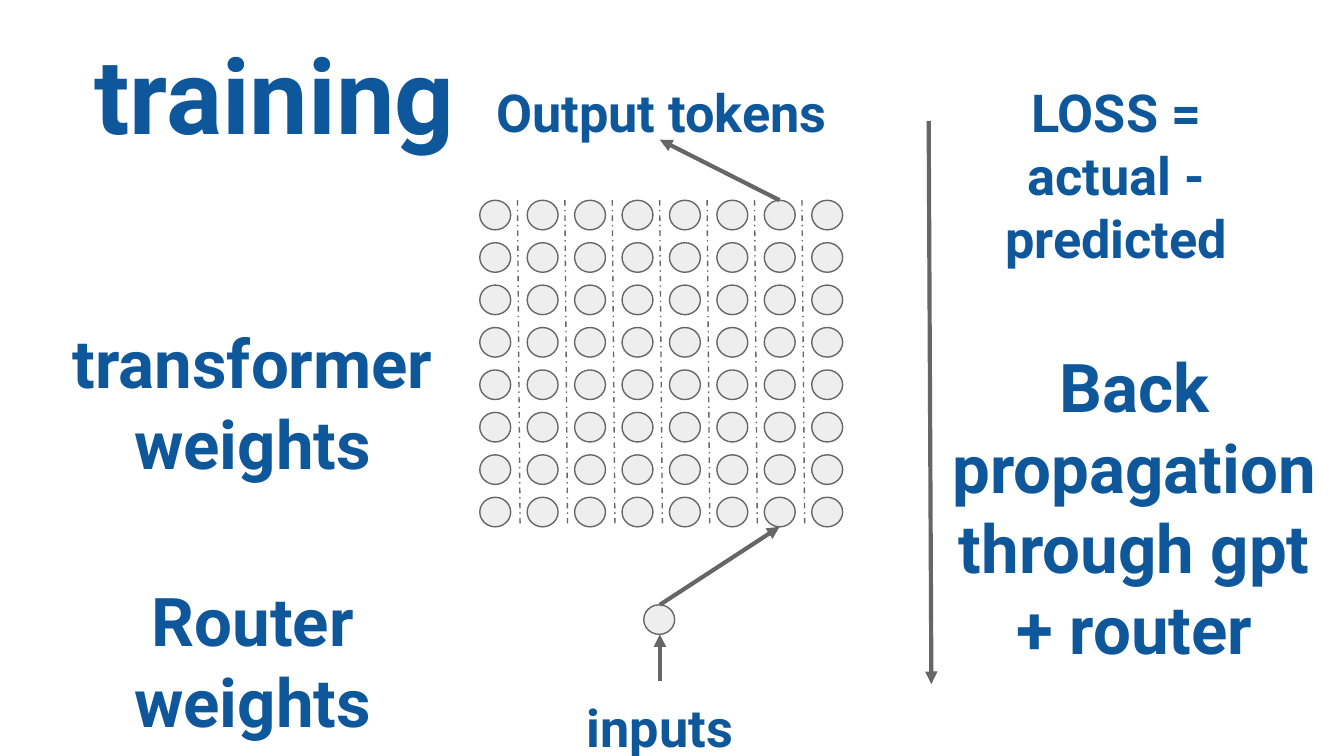
from pptx import Presentation
from pptx.util import Inches, Pt
from pptx.dml.color import RGBColor as RGB
from pptx.enum.shapes import MSO_SHAPE as Shape, MSO_CONNECTOR as Conn
from pptx.enum.text import PP_ALIGN as Align, MSO_ANCHOR as Anchor
from pptx.enum.dml import MSO_LINE as Dash
from pptx.oxml.ns import qn
from lxml.etree import SubElement as Sub

HUES = {"text": "0F579B", "node": "EEEEEE", "line": "666666"}

deck = Presentation()
deck.slide_width = Inches(10)
deck.slide_height = Inches(10 * 9 / 16)
slide = deck.slides.add_slide(deck.slide_layouts[5])
shapes = slide.shapes


def write(text, at, size=36, align=Align.CENTER, after=8, box=None):
    if box is None:
        box = shapes.add_textbox(0, 0, 0, 0)
    box.left, box.top, box.width, box.height = [Inches(n) for n in at]
    frame = box.text_frame
    frame.word_wrap = True
    frame.vertical_anchor = Anchor.TOP
    frame.margin_left = frame.margin_right = Inches(0.1)
    frame.margin_top = frame.margin_bottom = Inches(0.1)
    para = frame.paragraphs[0]
    para.alignment = align
    para.space_before, para.space_after = Pt(0), Pt(after)
    run = para.add_run()
    run.text = text
    run.font.name = "Roboto"
    run.font.size = Pt(size)
    run.font.bold = True
    run.font.color.rgb = RGB.from_string(HUES["text"])


def link(start, end, width=2.25, dash=None):
    line = shapes.add_connector(Conn.STRAIGHT, *[Inches(n) for n in start + end])
    line.line.color.rgb = RGB.from_string(HUES["line"])
    line.line.width = Pt(width)
    if dash:
        line.line.dash_style = dash
    else:
        Sub(line.line._get_or_add_ln(), qn("a:tailEnd"), type="triangle")
    Sub(line._element.spPr, qn("a:effectLst"))


write("training", (0.6, 0.12, 8.62, 0.84), size=56, align=Align.LEFT,
      after=16, box=shapes.title)

wide, high = (6.04 - 3.57) / 7, (3.7 - 1.49) / 7
spots = [(3.57 + wide * col, 1.49 + high * row)
         for row in range(8) for col in range(8)]
spots.append((4.79, 4.5))
for left, top in spots:
    node = shapes.add_shape(Shape.OVAL, Inches(left), Inches(top),
                            Inches(0.23), Inches(0.22))
    node.shadow.inherit = False
    node.fill.solid()
    node.fill.fore_color.rgb = RGB.from_string(HUES["node"])
    node.line.color.rgb = RGB.from_string(HUES["line"])
    node.line.width = Pt(0.75)

for col in range(7):
    left = 3.85 + wide * col
    link((left, 1.49), (left + 0.02, 3.9), width=0.75, dash=Dash.DASH_DOT)

for text, at, size in [
    ("transformer weights", (0.24, 2.29, 3.28, 0.81), 36),
    ("Router weights", (0.24, 4.21, 3.28, 0.81), 36),
    ("inputs", (3.27, 5.07, 3.28, 0.67), 28),
    ("Output tokens", (3.28, 0.5, 3.28, 0.67), 28),
    ("Back propagation through gpt + router", (6.88, 2.47, 3.12, 2.02), 36),
    ("LOSS = actual - predicted", (7.02, 0.5, 2.57, 1.14), 28),
]:
    write(text, at, size=size)

for start, end in [
    ((6.91, 0.9), (6.93, 5.09)),
    ((4.91, 5.07), (4.91, 4.72)),
    ((4.91, 4.5), (5.8, 3.92)),
    ((5.8, 1.49), (4.91, 1.04)),
]:
    link(start, end)

deck.save("out.pptx")
